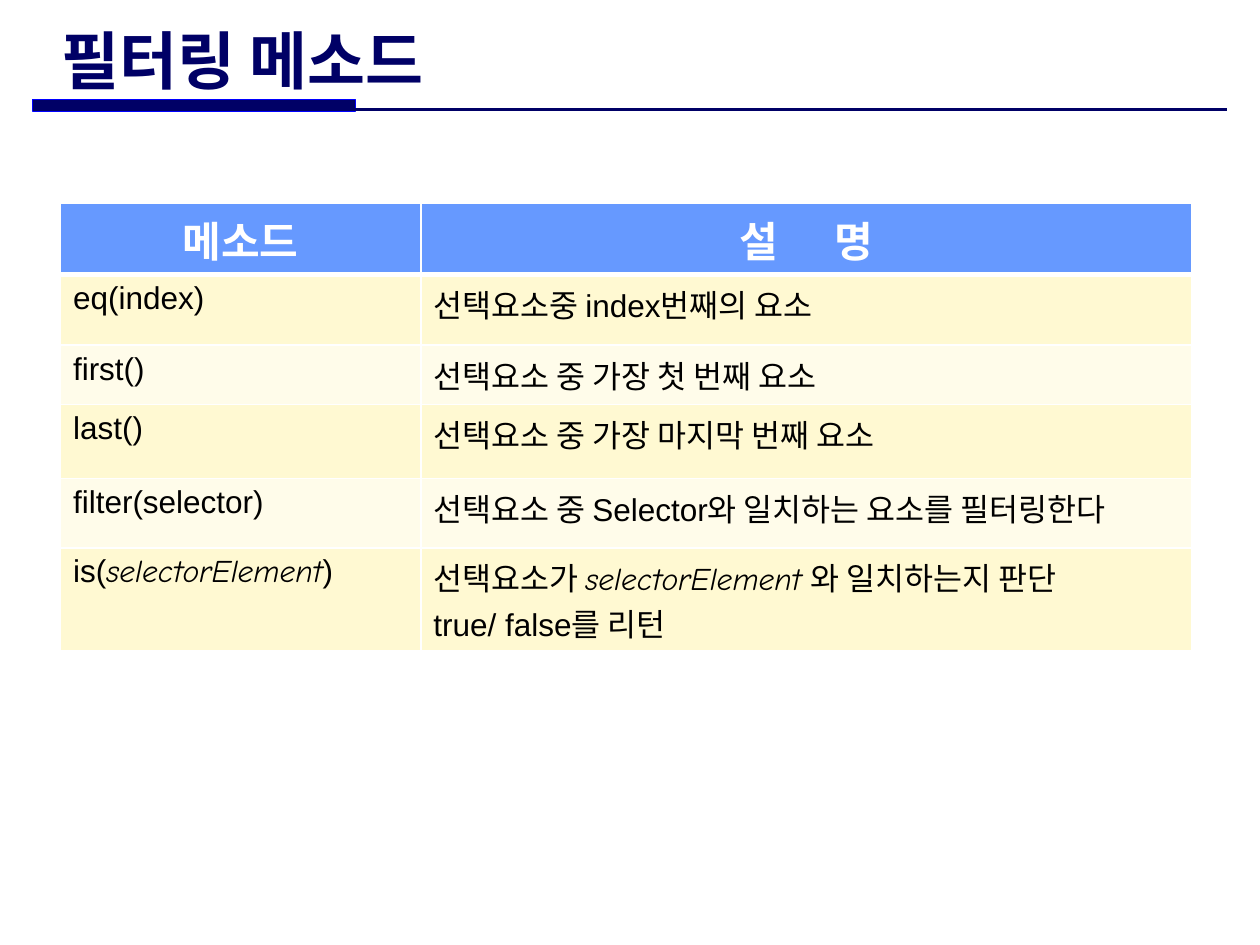
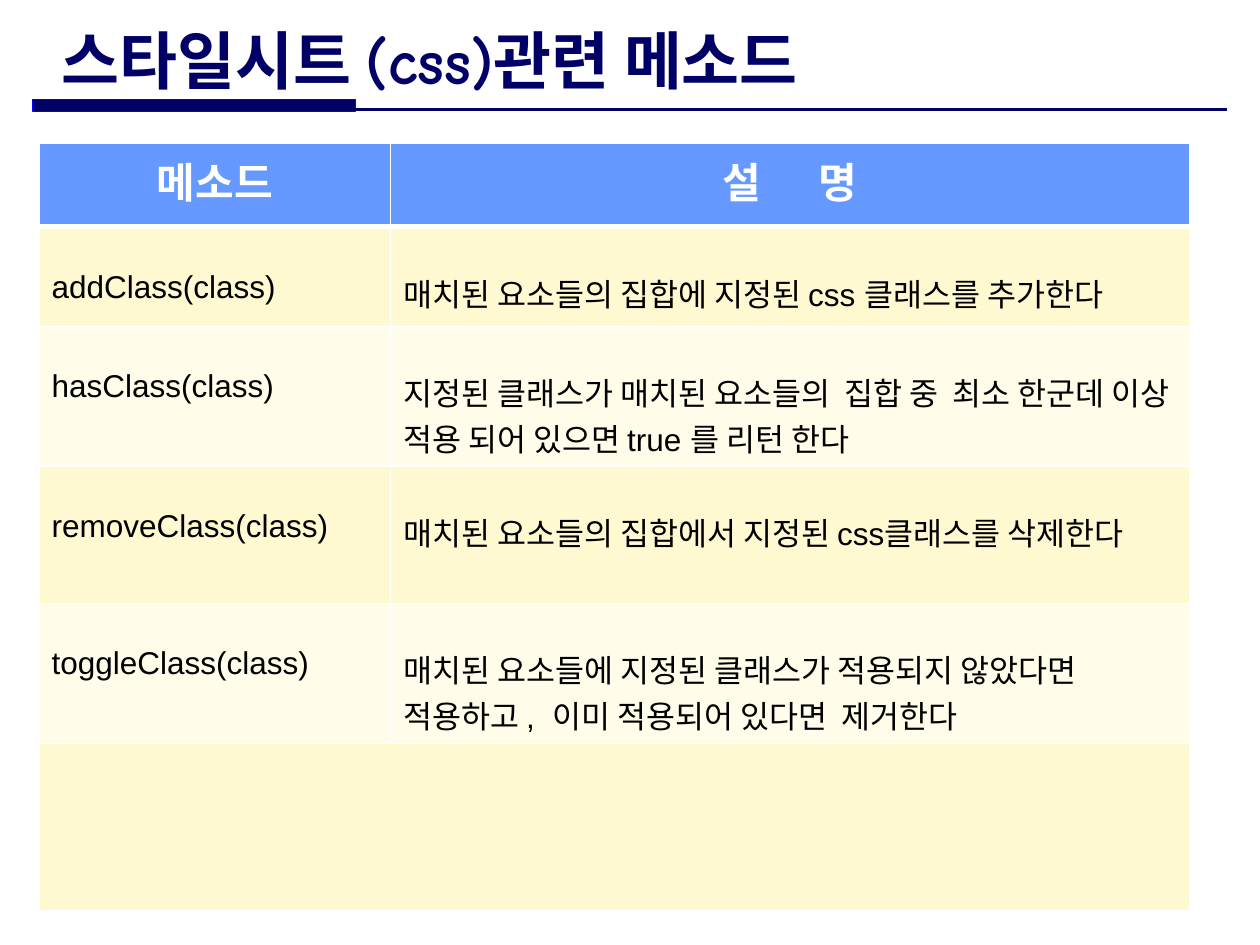
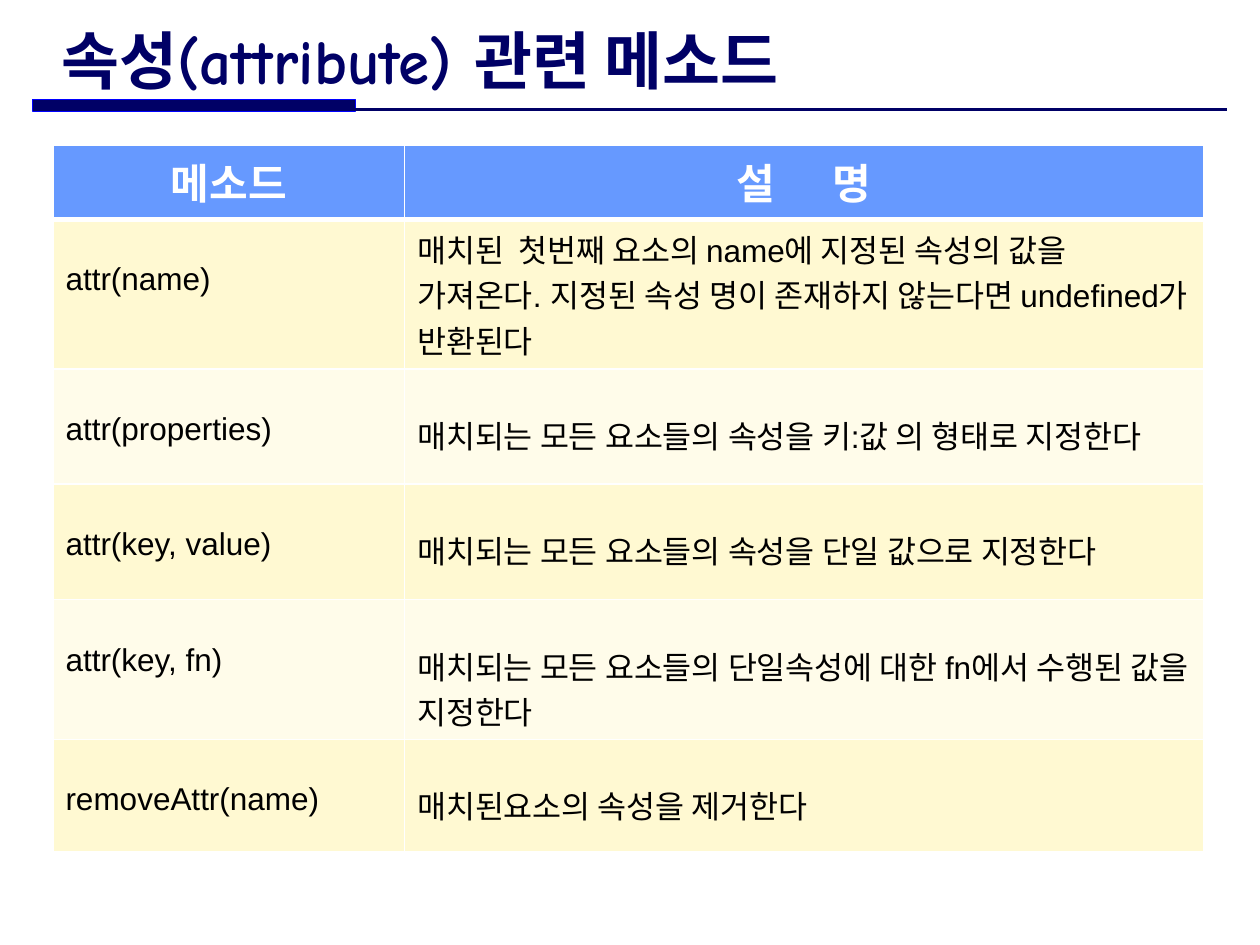
from dataclasses import dataclass

from lxml.etree import SubElement
from pptx import Presentation
from pptx.dml.color import RGBColor
from pptx.enum.shapes import MSO_CONNECTOR, MSO_SHAPE
from pptx.enum.text import MSO_ANCHOR, PP_ALIGN
from pptx.oxml.ns import qn
from pptx.slide import Slide
from pptx.table import _Cell
from pptx.text.text import Font, _Paragraph
from pptx.util import Inches, Pt

NAVY = "000066"
BLUE = "0000FF"
HEADER_BLUE = "6699FF"
BAND_FILLS = ("FFF9D2", "FFFCEA")
WHITE = "FFFFFF"
BLACK = "000000"

BODY_FONT = "Arial"
ACCENT_FONT = "Comic Neue"
KOREAN_FONT = "Noto Sans CJK KR"

TOP_INSET = 0.05
LOWERED_INSET = 0.34
HEADER_LETTER_GAP = 13.5


@dataclass(frozen=True)
class Method:
    signature: str
    description: str
    height: float
    signature_inset: float = LOWERED_INSET
    description_inset: float = LOWERED_INSET


@dataclass(frozen=True)
class MethodSlide:
    title: str
    left: float
    top: float
    column_widths: tuple[float, float]
    header_height: float
    methods: tuple[Method, ...]
    closing_height: float = 0


def top_method(signature: str, description: str, height: float) -> Method:
    return Method(signature, description, height, TOP_INSET, TOP_INSET)


SLIDES = (
    MethodSlide(
        "필터링 메소드", 0.48, 1.61, (2.86, 6.12), 0.57,
        (
            top_method("eq(index)", "선택요소중 index번째의 요소", 0.56),
            top_method("first()", "선택요소 중 가장 첫 번째 요소", 0.47),
            top_method("last()", "선택요소 중 가장 마지막 번째 요소", 0.59),
            top_method("filter(selector)", "선택요소 중 Selector와 일치하는 요소를 필터링한다", 0.55),
            top_method(
                "is(*selectorElement*)",
                "선택요소가 *selectorElement* 와 일치하는지 판단\ntrue/ false를 리턴",
                0.82,
            ),
        ),
    ),
    MethodSlide(
        "스타일시트 (css)관련 메소드", 0.31, 1.14, (2.79, 6.34), 0.66,
        (
            Method("addClass(class)", "매치된 요소들의 집합에 지정된 css 클래스를 추가한다", 0.79),
            Method(
                "hasClass(class)",
                "지정된 클래스가 매치된 요소들의  집합 중  최소 한군데 이상 적용 되어 있으면 true 를 리턴 한다",
                1.11,
            ),
            Method("removeClass(class)", "매치된 요소들의 집합에서 지정된 css클래스를 삭제한다", 1.09),
            Method(
                "toggleClass(class)",
                "매치된 요소들에 지정된 클래스가 적용되지 않았다면 적용하고 ,  이미 적용되어 있다면  제거한다",
                1.11,
            ),
        ),
        closing_height=1.33,
    ),
    MethodSlide(
        "속성(attribute) 관련 메소드", 0.42, 1.15, (2.79, 6.34), 0.59,
        (
            Method(
                "attr(name)",
                "매치된  첫번째 요소의 name에 지정된 속성의 값을  가져온다. "
                "지정된 속성 명이 존재하지 않는다면 undefined가 반환된다",
                1.19,
                description_inset=TOP_INSET,
            ),
            Method("attr(properties)", "매치되는 모든 요소들의 속성을 키:값 의 형태로 지정한다", 0.91),
            Method("attr(key, value)", "매치되는 모든 요소들의 속성을 단일 값으로 지정한다", 0.92),
            Method("attr(key, fn)", "매치되는 모든 요소들의 단일속성에 대한 fn에서 수행된 값을 지정한다", 1.11),
            Method("removeAttr(name)", "매치된요소의 속성을 제거한다", 0.89),
        ),
    ),
)


def rgb(color: str) -> RGBColor:
    return RGBColor.from_string(color)


def style_font(font: Font, name: str, size: float, color: str, bold: bool = False) -> None:
    font.name = name
    font.size = Pt(size)
    font.bold = bold
    font.color.rgb = rgb(color)
    SubElement(font._element, qn("a:ea"), typeface=KOREAN_FONT)


def draw_title(slide: Slide, title: str) -> None:
    band = slide.shapes.add_shape(
        MSO_SHAPE.RECTANGLE, Inches(0.26), Inches(0.79), Inches(2.56), Inches(0.09)
    )
    band.shadow.inherit = False
    band.fill.solid()
    band.fill.fore_color.rgb = rgb(NAVY)
    band.line.color.rgb = rgb(BLUE)
    band.line.width = Pt(0.75)

    rule = slide.shapes.add_connector(
        MSO_CONNECTOR.STRAIGHT, Inches(0.26), Inches(0.87), Inches(9.74), Inches(0.87)
    )
    rule.line.color.rgb = rgb(NAVY)
    rule.line.width = Pt(1.5)
    SubElement(rule._element.spPr, qn("a:effectLst"))

    heading = slide.shapes.add_textbox(Inches(0.39), Inches(0.21), Inches(6.79), Inches(0.52))
    frame = heading.text_frame
    frame.word_wrap = True
    frame.vertical_anchor = MSO_ANCHOR.MIDDLE
    frame.text = title
    style_font(frame.paragraphs[0].font, ACCENT_FONT, 36, NAVY, bold=True)


def paint_cell(cell: _Cell, fill: str, top_border: float = 1, bottom_border: float = 1) -> None:
    borders = {"a:lnL": 1, "a:lnR": 1, "a:lnT": top_border, "a:lnB": bottom_border}
    properties = cell._tc.get_or_add_tcPr()
    for tag, width in borders.items():
        border = SubElement(properties, qn(tag), w=str(Pt(width)))
        SubElement(SubElement(border, qn("a:solidFill")), qn("a:srgbClr"), val=WHITE)
    cell.fill.solid()
    cell.fill.fore_color.rgb = rgb(fill)


def write_runs(paragraph: _Paragraph, marked_text: str) -> None:
    for index, part in enumerate(marked_text.split("*")):
        run = paragraph.add_run()
        run.text = part
        if index % 2:
            run.font.name = ACCENT_FONT
            run.font.italic = True


def write_body(cell: _Cell, text: str, top_inset: float) -> None:
    cell.margin_top = Inches(top_inset)
    frame = cell.text_frame
    for index, line in enumerate(text.split("\n")):
        paragraph = frame.add_paragraph() if index else frame.paragraphs[0]
        write_runs(paragraph, line)
        style_font(paragraph.font, BODY_FONT, 18, BLACK)


def write_header(cell: _Cell, *parts: str) -> None:
    paragraph = cell.text_frame.paragraphs[0]
    paragraph.alignment = PP_ALIGN.CENTER
    style_font(paragraph.font, BODY_FONT, 24, WHITE, bold=True)
    for part in parts:
        run = paragraph.add_run()
        run.text = part
        if part.endswith(" "):
            run._r.get_or_add_rPr().set("spc", str(int(HEADER_LETTER_GAP * 100)))


def draw_methods(slide: Slide, content: MethodSlide) -> None:
    heights = [content.header_height, *(method.height for method in content.methods)]
    if content.closing_height:
        heights.append(content.closing_height)
    table = slide.shapes.add_table(
        len(heights), 2, Inches(content.left), Inches(content.top),
        Inches(sum(content.column_widths)), Inches(sum(heights)),
    ).table
    for column, width in zip(table.columns, content.column_widths):
        column.width = Inches(width)
    for index, (row, height) in enumerate(zip(table.rows, heights)):
        row.height = Inches(height)
        for cell in row.cells:
            if index:
                paint_cell(cell, BAND_FILLS[(index - 1) % 2], top_border=3 if index == 1 else 1)
            else:
                paint_cell(cell, HEADER_BLUE, bottom_border=3)

    write_header(table.cell(0, 0), "메소드")
    write_header(table.cell(0, 1), "설 ", "명")
    for index, method in enumerate(content.methods, start=1):
        write_body(table.cell(index, 0), method.signature, method.signature_inset)
        write_body(table.cell(index, 1), method.description, method.description_inset)
    if content.closing_height:
        last = len(heights) - 1
        table.cell(last, 0).merge(table.cell(last, 1))


def main() -> None:
    presentation = Presentation()
    presentation.slide_width = Inches(10)
    presentation.slide_height = Inches(7.5)
    for content in SLIDES:
        slide = presentation.slides.add_slide(presentation.slide_layouts[6])
        draw_title(slide, content.title)
        draw_methods(slide, content)
    presentation.save("out.pptx")


if __name__ == "__main__":
    main()
